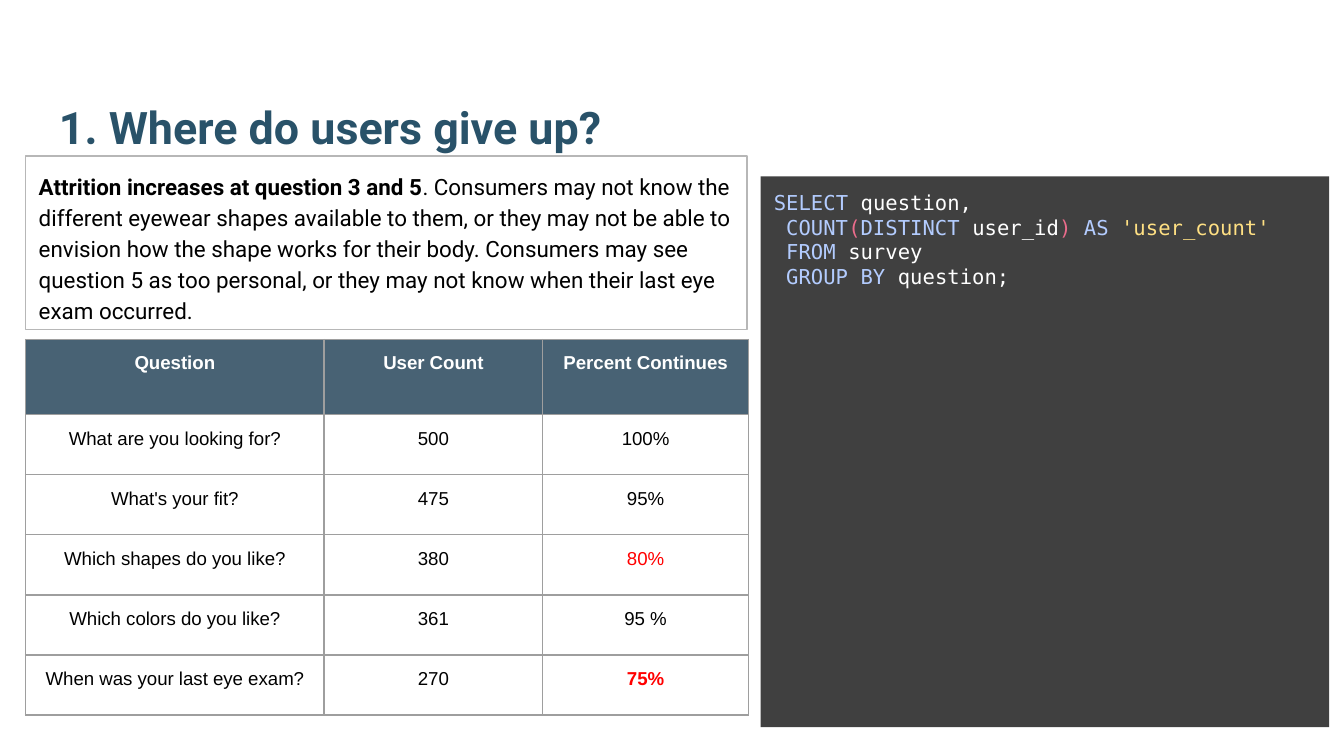
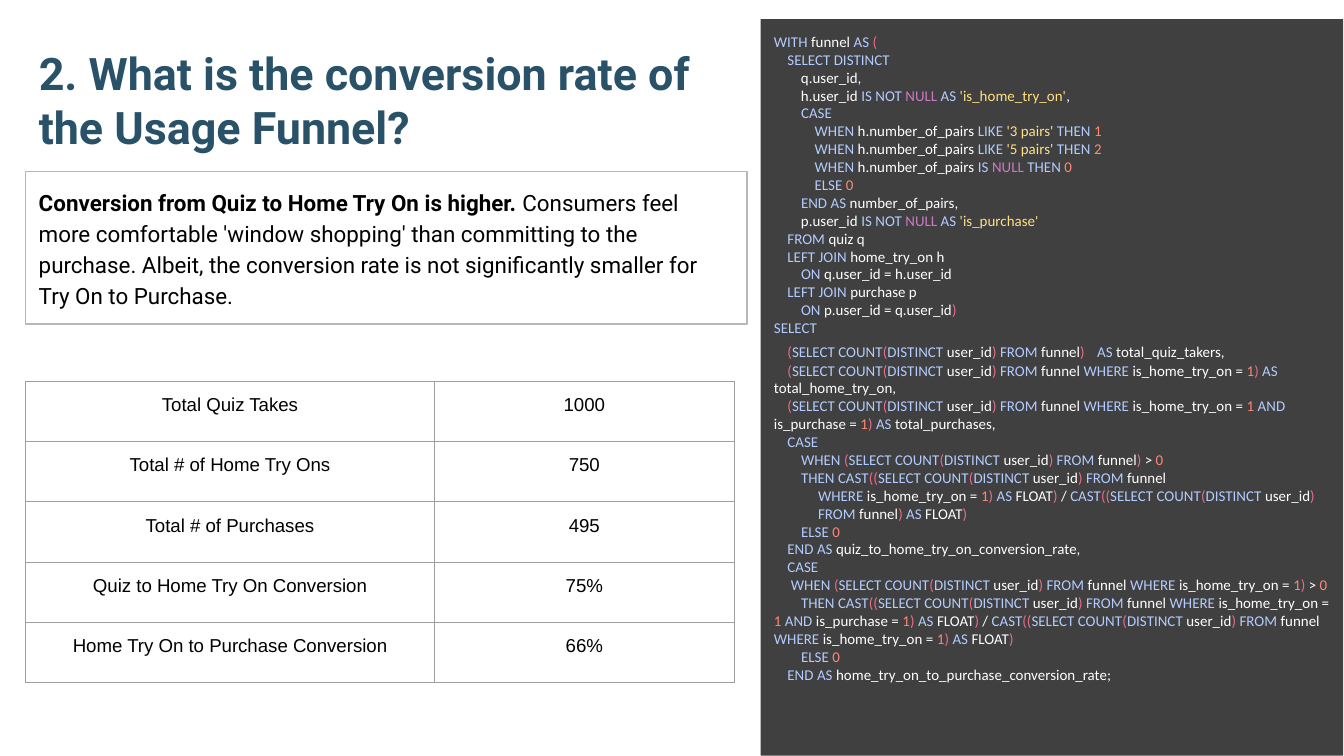
from dataclasses import dataclass
from itertools import groupby

from lxml.etree import SubElement
from pptx import Presentation
from pptx.dml.color import RGBColor
from pptx.enum.shapes import MSO_SHAPE
from pptx.enum.text import MSO_ANCHOR as Anchor, PP_ALIGN as Align
from pptx.oxml.ns import qn
from pptx.util import Pt


@dataclass(frozen=True)
class Theme:
    title: str = "295269"
    body: str = "000000"
    alert: str = "FF0000"
    box_line: str = "B7B7B7"
    grid: str = "9E9E9E"
    header: str = "204056"
    header_opacity: int = 82
    header_text: str = "FFFFFF"
    panel: str = "404040"
    code: str = "FFFFFF"
    keyword: str = "B3CCFF"
    null: str = "CC7BC2"
    number: str = "FF8973"
    string: str = "FFE083"
    bracket: str = "EA6C8B"
    heading_font: str = "Roboto"
    table_font: str = "Arial"
    mono_font: str = "DejaVu Sans Mono"
    compact_font: str = "Calibri"
    title_size: float = 24
    body_size: float = 12
    table_size: float = 10
    mono_size: float = 11
    compact_size: float = 8
    line_width: float = 0.75
    inset: float = 7.2
    left: float = 13.7


THEME = Theme()
WIDE_SPACE = "~"  # one space set in the large monospaced font
KEYWORDS = set(
    "SELECT COUNT DISTINCT FROM WHERE AS AND CASE WHEN THEN CAST ELSE END "
    "IS NOT LIKE LEFT JOIN ON WITH GROUP BY".split()
)

SURVEY_SQL = [
    "SELECT question,",
    " COUNT(DISTINCT user_id) AS 'user_count'",
    " FROM survey",
    " GROUP BY question;",
]

COUNT_USERS = "(SELECT COUNT(DISTINCT user_id)"
COUNT_FUNNEL = f"{COUNT_USERS} FROM funnel"
COUNT_TRIED = f"{COUNT_FUNNEL} WHERE is_home_try_on = 1"
COUNT_BOUGHT = f"{COUNT_TRIED} AND is_purchase = 1"

FUNNEL_SQL = [
    "WITH funnel AS (",
    "    SELECT DISTINCT",
    "        q.user_id,",
    "        h.user_id IS NOT NULL AS 'is_home_try_on',",
    "        CASE",
    "            WHEN h.number_of_pairs LIKE '3 pairs' THEN 1",
    "            WHEN h.number_of_pairs LIKE '5 pairs' THEN 2",
    "            WHEN h.number_of_pairs IS NULL THEN 0",
    "            ELSE 0",
    "        END AS number_of_pairs,",
    "        p.user_id IS NOT NULL AS 'is_purchase'",
    "    FROM quiz q",
    "    LEFT JOIN home_try_on h",
    "        ON q.user_id = h.user_id",
    "    LEFT JOIN purchase p",
    "        ON p.user_id = q.user_id)",
    "SELECT",
    f"    {COUNT_FUNNEL}){WIDE_SPACE}AS total_quiz_takers,",
    f"    {COUNT_TRIED}) AS total_home_try_on,",
    f"    {COUNT_BOUGHT}) AS total_purchases,",
    "    CASE",
    f"        WHEN {COUNT_FUNNEL}) > 0",
    f"        THEN CAST({COUNT_FUNNEL}",
    f"             WHERE is_home_try_on = 1) AS FLOAT) / CAST({COUNT_USERS}",
    "             FROM funnel) AS FLOAT)",
    "        ELSE 0",
    "    END AS quiz_to_home_try_on_conversion_rate,",
    "    CASE",
    f"     WHEN {COUNT_TRIED}) > 0",
    f"        THEN CAST({COUNT_BOUGHT}) AS FLOAT) / CAST({COUNT_TRIED}) AS FLOAT)",
    "        ELSE 0",
    "    END AS home_try_on_to_purchase_conversion_rate;",
]

# Boxes are (left, top, width, height) in points.
SLIDES = [
    {
        "title": ("1. Where do users give up?", (24.5, 23, 671, 66.2)),
        "finding": (
            "Attrition increases at question 3 and 5",
            ". Consumers may not know the different eyewear shapes available to them, "
            "or they may not be able to envision how the shape works for their body. "
            "Consumers may see question 5 as too personal, or they may not know when "
            "their last eye exam occurred.",
            (THEME.left, 83.5, 386.6, 92.9),
        ),
        "code": (SURVEY_SQL, THEME.mono_font, THEME.mono_size, (407.5, 94.5, 304.6, 295)),
        "table": {
            "header": ("Question", "User Count", "Percent Continues"),
            "rows": [
                ("What are you looking for?", "500", "100%"),
                ("What's your fit?", "475", "95%"),
                ("Which shapes do you like?", "380", "80%"),
                ("Which colors do you like?", "361", "95 %"),
                ("When was your last eye exam?", "270", "75%"),
            ],
            "alerts": {"80%": False, "75%": True},  # value: bold
            "top": 181.8,
            "columns": (159.9, 117.2, 110.2),
            "header_height": 40.4,
            "row_height": 32.2,
        },
    },
    {
        "title": (
            "2. What is the conversion rate of the Usage Funnel?",
            (THEME.left, 23, 387, 66.2),
        ),
        "finding": (
            "Conversion from Quiz to Home Try On is higher.",
            " Consumers feel more comfortable 'window shopping' than committing to the "
            "purchase. Albeit, the conversion rate is not significantly smaller "
            "for Try On to Purchase.",
            (THEME.left, 92, 386.6, 81.5),
        ),
        "code": (FUNNEL_SQL, THEME.compact_font, THEME.compact_size, (407.5, 10.2, 312, 394.6)),
        "table": {
            "header": None,
            "rows": [
                ("Total Quiz Takes", "1000"),
                ("Total # of Home Try Ons", "750"),
                ("Total # of Purchases", "495"),
                ("Quiz to Home Try On Conversion", "75%"),
                ("Home Try On to Purchase Conversion", "66%"),
            ],
            "alerts": {},
            "top": 204.3,
            "columns": (218.9, 160.9),
            "row_height": 32.3,
        },
    },
]


def color(value):
    return RGBColor.from_string(value)


def points(box):
    return [Pt(value) for value in box]


def add_run(paragraph, text, font, size, ink, bold=False):
    run = paragraph.add_run()
    run.text = text
    run.font.name = font
    run.font.size = Pt(size)
    run.font.bold = bold
    run.font.color.rgb = color(ink)


def prepare_frame(shape, anchor=Anchor.TOP):
    frame = shape.text_frame
    frame.word_wrap = True
    frame.vertical_anchor = anchor
    frame.margin_left = frame.margin_right = Pt(THEME.inset)
    frame.margin_top = frame.margin_bottom = Pt(THEME.inset)
    return frame


def add_rectangle(slide, box, fill=None, line=None):
    shape = slide.shapes.add_shape(MSO_SHAPE.RECTANGLE, *points(box))
    shape.shadow.inherit = False
    if fill:
        shape.fill.solid()
        shape.fill.fore_color.rgb = color(fill)
    else:
        shape.fill.background()
    if line:
        shape.line.color.rgb = color(line)
        shape.line.width = Pt(THEME.line_width)
    else:
        shape.line.fill.background()
    return prepare_frame(shape)


def add_title(slide, text, box):
    frame = prepare_frame(slide.shapes.add_textbox(*points(box)), Anchor.BOTTOM)
    add_run(frame.paragraphs[0], text, THEME.heading_font, THEME.title_size, THEME.title, True)


def add_finding(slide, claim, detail, box):
    paragraph = add_rectangle(slide, box, line=THEME.box_line).paragraphs[0]
    paragraph.alignment = Align.LEFT
    paragraph.line_spacing = 1.15
    for text, bold in ((claim, True), (detail, False)):
        add_run(paragraph, text, THEME.heading_font, THEME.body_size, THEME.body, bold)


def token_kind(char):
    if char.isalnum() or char in "_.":
        return "word"
    if char in "()":
        return "bracket"
    return "space" if char == " " else char


def token_ink(kind, token):
    if kind == "bracket":
        return THEME.bracket
    if token in KEYWORDS:
        return THEME.keyword
    if token == "NULL":
        return THEME.null
    return THEME.number if token.isdigit() else THEME.code


def highlight(line):
    """Return (text, ink) runs; a space takes the ink of the token before it."""
    tokens = []
    for index, part in enumerate(line.split("'")):
        if index % 2:
            tokens.append((f"'{part}'", THEME.string))
            continue
        for kind, chars in groupby(part, token_kind):
            token = "".join(chars)
            follows = kind == "space" and tokens
            tokens.append((token, tokens[-1][1] if follows else token_ink(kind, token)))
    return [
        ("".join(text for text, _ in group), ink)
        for ink, group in groupby(tokens, lambda token: token[1])
    ]


def add_code(slide, lines, font, size, box):
    frame = add_rectangle(slide, box, fill=THEME.panel)
    for index, line in enumerate(lines):
        paragraph = frame.add_paragraph() if index else frame.paragraphs[0]
        paragraph.alignment = Align.LEFT
        for text, ink in highlight(line):
            if text == WIDE_SPACE:
                add_run(paragraph, " ", THEME.mono_font, THEME.mono_size, ink)
            else:
                add_run(paragraph, text, font, size, ink)


def set_borders(cell):
    properties = cell._tc.get_or_add_tcPr()
    for index, side in enumerate(("a:lnL", "a:lnR", "a:lnT", "a:lnB")):
        line = properties.makeelement(qn(side), {"w": str(int(Pt(THEME.line_width)))})
        SubElement(SubElement(line, qn("a:solidFill")), qn("a:srgbClr"), val=THEME.grid)
        properties.insert(index, line)


def fill_header(cell):
    cell.fill.solid()
    cell.fill.fore_color.rgb = color(THEME.header)
    ink = cell._tc.tcPr.find(".//" + qn("a:srgbClr"))
    SubElement(ink, qn("a:alpha"), val=str(THEME.header_opacity * 1000))


def add_table(slide, data):
    header, columns = data["header"], data["columns"]
    rows = ([header] if header else []) + data["rows"]
    heights = [data["row_height"]] * len(rows)
    if header:
        heights[0] = data["header_height"]
    box = (THEME.left, data["top"], sum(columns), sum(heights))
    table = slide.shapes.add_table(len(rows), len(columns), *points(box)).table
    table.first_row = bool(header)
    table.horz_banding = False
    for column, width in zip(table.columns, columns):
        column.width = Pt(width)
    for row, height, values in zip(table.rows, heights, rows):
        row.height = Pt(height)
        for cell, value in zip(row.cells, values):
            cell.margin_left = cell.margin_right = Pt(THEME.inset)
            cell.margin_top = cell.margin_bottom = Pt(THEME.inset)
            if values is header:
                fill_header(cell)
                ink, bold = THEME.header_text, True
            else:
                cell.fill.background()
                ink = THEME.alert if value in data["alerts"] else THEME.body
                bold = data["alerts"].get(value, False)
            set_borders(cell)
            paragraph = cell.text_frame.paragraphs[0]
            paragraph.alignment = Align.CENTER
            add_run(paragraph, value, THEME.table_font, THEME.table_size, ink, bold)


def main():
    presentation = Presentation()
    presentation.slide_width, presentation.slide_height = Pt(720), Pt(405)
    for content in SLIDES:
        slide = presentation.slides.add_slide(presentation.slide_layouts[6])
        add_title(slide, *content["title"])
        add_code(slide, *content["code"])
        add_finding(slide, *content["finding"])
        add_table(slide, content["table"])
    presentation.save("out.pptx")


if __name__ == "__main__":
    main()
